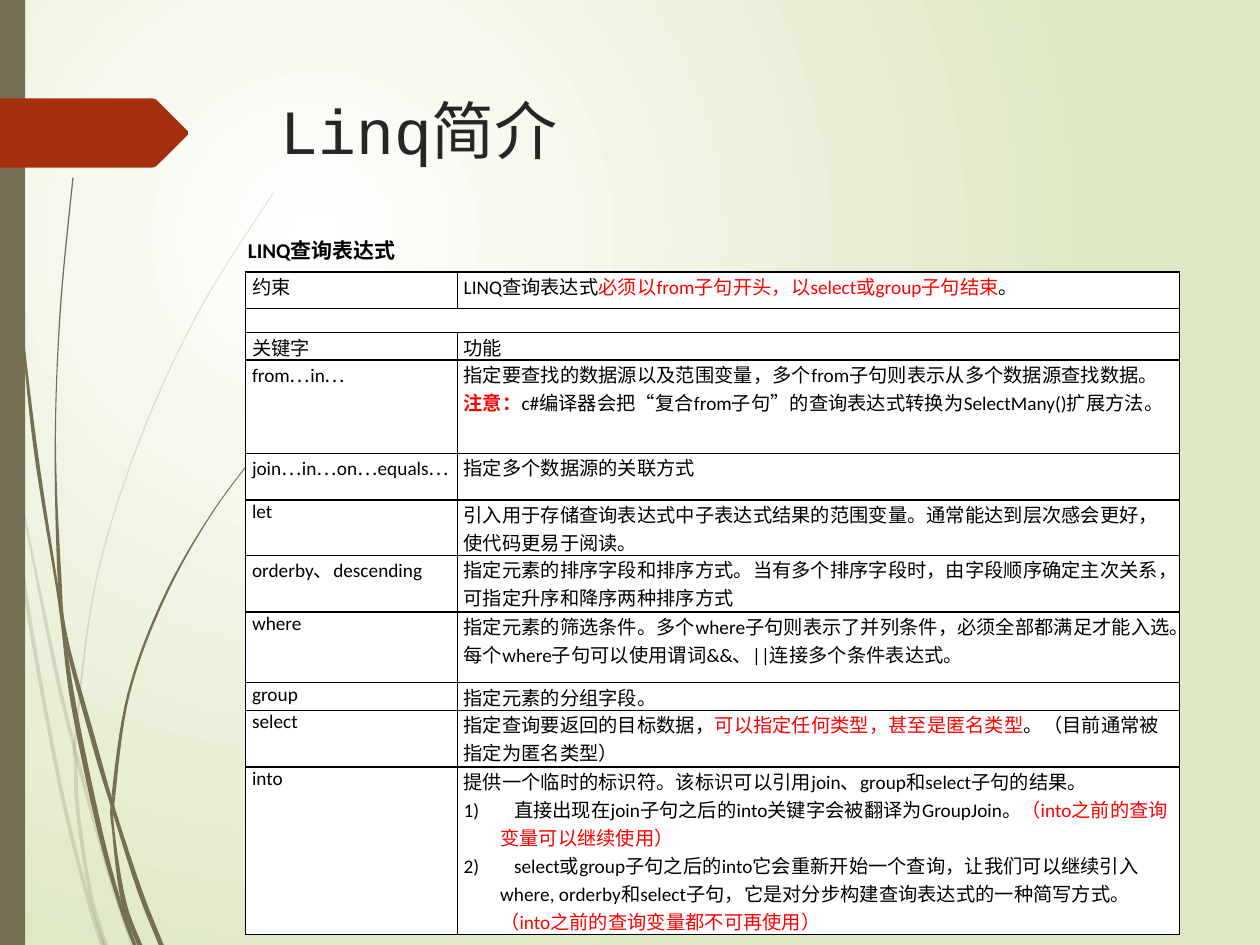
from itertools import groupby, pairwise

from lxml import etree
from pptx import Presentation
from pptx import util as u
from pptx.dml import color as c
from pptx.enum import shapes, text
from pptx.oxml import ns

HUES = {"ink": "000000", "title": "262626", "red": "FF0000", "olive": "766F54",
        "rust": "A53010", "white": "FFFFFF", "moss": "DFE8C4"}
LATIN, HAN, MONO = "Calibri", "Noto Sans CJK SC", "Courier New"

PALE = [
    ([0, 1, 4, 5],
     [(0, 2.9, .01), (.07, 3.5, .01), (.2, 4.69, .03), (.47, 6.2, .03),
      (.7, 7.14, .03), (.82, 7.51, .04)]),
    ([0, 3, 5],
     [(.1, 3.45, .01), (.12, 3.7, .01), (.42, 5.21, .03), (.6, 5.97, .03),
      (.87, 6.93, .04), (1.06, 7.51, .04)]),
    ([0, 4, 5, 7, 8],
     [(2.17, 1.53, .01), (1.59, 2.45, .01), (1.11, 3.49, .01), (.76, 4.62, .01),
      (.6, 5.84, .02), (.6, 6.05, .03), (.62, 6.46, .03), (.72, 7.1, .03),
      (.84, 7.51, .04)]),
]
DARK = [
    ([0, 4, 7, 8],
     [(.02, 0, .01), (.06, 1.1, .01), (.15, 2.33, .01), (.28, 3.55, .03),
      (.47, 4.77, .02), (.58, 5.57, .04), (.79, 6.58, .04), (.96, 7.2, .03),
      (1.07, 7.5, .03)]),
    ([0, 3, 4, 6, 8],
     [(.58, 1.41, .01), (.48, 2.45, .01), (.44, 3.49, .01), (.47, 4.53, .03),
      (.52, 5.05, .03), (.75, 5.91, .04), (.9, 6.42, .03), (1.11, 7.07, .04),
      (1.28, 7.5, .04)]),
    ([0, 4, 5, 6, 7],
     [(2.16, 3.44, .01), (1.69, 4.06, .01), (1.3, 4.75, .02), (1.02, 5.51, .02),
      (.9, 6.32, .03), (.9, 6.6, .02), (.98, 7.15, .04), (1.11, 7.5, .04)]),
]
FLAG = [(0, .78), (1.21, .78), (1.24, .79), (1.49, 1.04), (1.49, 1.07),
        (1.24, 1.32), (1.21, 1.33), (0, 1.33)]

COLS = [1.68, 5.73]
ROWS = [
    (.29, "约束", ["LINQ查询表达式~必须以from子句开头，以select或group子句结束~。"]),
    (.19, "", [""]),
    (.22, "关键字", ["功能"]),
    (.74, "from…in…", [
        "指定要查找的数据源以及范围变量，多个from子句则表示从多个数据源查找数据。",
        "~*注意：~c#编译器会把“复合from子句”的查询表达式转换为SelectMany()扩展方法。"]),
    (.37, "join…in…on…equals…", ["指定多个数据源的关联方式"]),
    (.44, "let", ["引入用于存储查询表达式中子表达式结果的范围变量。"
                  "通常能达到层次感会更好，使代码更易于阅读。"]),
    (.45, "orderby、descending", ["指定元素的排序字段和排序方式。当有多个排序字段时，"
                                  "由字段顺序确定主次关系，可指定升序和降序两种排序方式"]),
    (.56, "where", ["指定元素的筛选条件。多个where子句则表示了并列条件，必须全部都满足才能入选。"
                    "每个where子句可以使用谓词&&、||连接多个条件表达式。"]),
    (.22, "group", ["指定元素的分组字段。"]),
    (.45, "select", ["指定查询要返回的目标数据，~可以指定任何类型，甚至是匿名类型~。"
                     "（目前通常被指定为匿名类型）"]),
    (1.33, "into", [
        "提供一个临时的标识符。该标识可以引用join、group和select子句的结果。",
        "1)\t直接出现在join子句之后的into关键字会被翻译为GroupJoin。"
        "~（into之前的查询变量可以继续使用）",
        "2)\tselect或group子句之后的into它会重新开始一个查询，让我们可以继续引入"
        "where, orderby和select子句，它是对分步构建查询表达式的一种简写方式。"
        "~（into之前的查询变量都不可再使用）"]),
]


def rgb(hue):
    return c.RGBColor.from_string(HUES[hue])


def node(up, tag, **attrs):
    return etree.SubElement(up, ns.qn(tag), attrs)


def add_run(para, words, size, font, hue="ink", bold=False):
    run = para.add_run()
    run.text = words
    run.font.size, run.font.name, run.font.bold = u.Pt(size), font, bold
    run.font.color.rgb = rgb(hue)
    node(run.font._element, "a:ea", typeface=HAN)
    return run


def add_mixed(para, words, size, bold=False):
    for i, part in enumerate(words.split("~")):
        hue = "red" if i % 2 else "ink"
        heavy = bold or part.startswith("*")
        for plain, chars in groupby(part.lstrip("*"), lambda ch: ord(ch) < 128):
            add_run(para, "".join(chars), size, LATIN if plain else HAN, hue, heavy)


def add_item(para, words, size):
    mark, _, rest = words.partition("\t")
    indent(para, .29, -.29)
    add_run(para, mark, size, LATIN)
    gap = add_run(para, "\u00a0", size, LATIN)
    gap.font._element.set("spc", "1740")
    add_mixed(para, rest, size)


def paint(shape, hue, alpha=None):
    shape.shadow.inherit = False
    shape.fill.solid()
    shape.fill.fore_color.rgb = rgb(hue)
    shape.line.fill.background()
    if alpha:
        tint = shape._element.spPr.find(".//" + ns.qn("a:srgbClr"))
        node(tint, "a:alpha", val=str(alpha * 1000))


def add_form(slide, points, hue, alpha=None):
    spots = [(u.Inches(x), u.Inches(y)) for x, y in points]
    form = slide.shapes.build_freeform(*spots[0])
    form.add_line_segments(spots[1:], close=True)
    paint(form.convert_to_shape(), hue, alpha)


def curve(a, b, d, e, t):
    return tuple((2 * q + (r - p) * t + (2 * p - 5 * q + 4 * r - s) * t ** 2
                  + (3 * q - p - 3 * r + s) * t ** 3) / 2
                 for p, q, r, s in zip(a, b, d, e))


def add_blade(slide, cuts, knots, alpha=None):
    ends = [knots[0], *knots, knots[-1]]
    line = [curve(*ends[i:i + 4], k / 8)
            for i in range(len(knots) - 1) for k in range(8)] + [knots[-1]]
    for start, stop in pairwise(cuts):
        part = line[8 * start:8 * stop + 1]
        left = [(x - w / 2, y) for x, y, w in part]
        right = [(x + w / 2, y) for x, y, w in reversed(part)]
        add_form(slide, left + right, "olive", alpha)


def add_back(slide):
    fill = slide.background.fill
    fill.gradient()
    for stop, hue, at in zip(fill.gradient_stops, ("white", "moss"), (0, 1)):
        stop.color.rgb, stop.position = rgb(hue), at
    grad = slide._element.find(".//" + ns.qn("a:gradFill"))
    grad.remove(grad.find(ns.qn("a:lin")))
    ring = node(grad, "a:path", path="circle")
    node(ring, "a:fillToRect", l="50000", t="50000", r="100000", b="100000")


def add_label(slide, left, top, width, height):
    frame = slide.shapes.add_textbox(*map(u.Inches, (left, top, width, height))).text_frame
    frame.word_wrap = True
    return frame.paragraphs[0]


def indent(para, left, first):
    props = para._p.get_or_add_pPr()
    props.set("marL", str(u.Inches(left)))
    props.set("indent", str(u.Inches(first)))


def fill_cell(cell, lines):
    cell.margin_left = cell.margin_right = u.Inches(.05)
    cell.margin_top = cell.margin_bottom = 0
    for i, words in enumerate(lines):
        para = cell.text_frame.add_paragraph() if i else cell.text_frame.paragraphs[0]
        add = add_item if "\t" in words else add_mixed
        add(para, words, 11)
        if not words:
            node(para._p, "a:endParaRPr", sz="1100")
    props = cell._tc.get_or_add_tcPr()
    for side in "LRTB":
        edge = node(props, "a:ln" + side, w=str(u.Pt(1)))
        node(node(edge, "a:solidFill"), "a:srgbClr", val=HUES["ink"])
    cell.fill.solid()
    cell.fill.fore_color.rgb = rgb("white")


def add_grid(slide):
    box = map(u.Inches, (1.95, 2.16, sum(COLS), sum(row[0] for row in ROWS)))
    grid = slide.shapes.add_table(len(ROWS), len(COLS), *box).table
    for col, width in zip(grid.columns, COLS):
        col.width = u.Inches(width)
    for i, (height, key, lines) in enumerate(ROWS):
        grid.rows[i].height = u.Inches(height)
        fill_cell(grid.cell(i, 0), [key])
        fill_cell(grid.cell(i, 1), lines)
    grid.cell(1, 0).merge(grid.cell(1, 1))


def main():
    deck = Presentation()
    deck.slide_width, deck.slide_height = u.Inches(10), u.Inches(7.5)
    slide = deck.slides.add_slide(deck.slide_layouts[6])
    add_back(slide)
    for cuts, knots in PALE:
        add_blade(slide, cuts, knots, 20)
    for cuts, knots in DARK:
        add_blade(slide, cuts, knots)
    bar = slide.shapes.add_shape(shapes.MSO_SHAPE.RECTANGLE, 0, 0, u.Inches(.2), u.Inches(7.5))
    paint(bar, "olive")
    add_form(slide, FLAG, "rust")
    add_run(add_label(slide, 2.13, .68, 7.21, 1.4), "Linq简介", 36, MONO, "title")
    add_grid(slide)
    label = add_label(slide, 1.58, 1.84, 2.36, .5)
    label.alignment = text.PP_ALIGN.JUSTIFY
    indent(label, 0, .29)
    add_mixed(label, "LINQ查询表达式", 12, True)
    deck.save("out.pptx")


if __name__ == "__main__":
    main()
